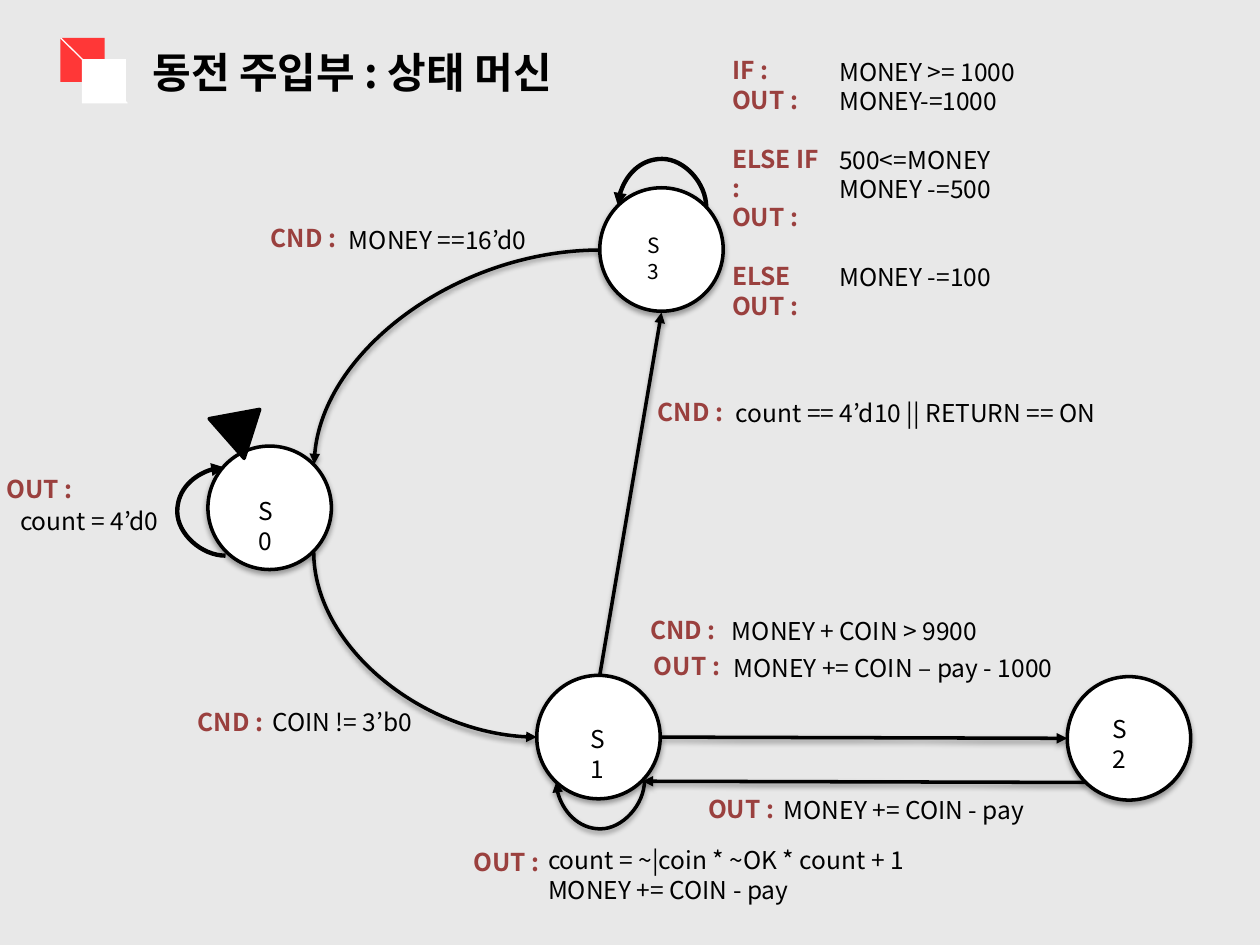
from dataclasses import dataclass

from lxml.etree import SubElement
from pptx import Presentation
from pptx.dml.color import RGBColor
from pptx.enum.shapes import MSO_CONNECTOR, MSO_SHAPE
from pptx.oxml.ns import qn
from pptx.util import Inches, Pt

FONT = "Noto Sans CJK KR"
BLACK, WHITE, RED, LABEL = "000000", "FFFFFF", "FF3737", "9A403E"
NODE_SIZE = 0.98
INSET = 0.05
LINE_FACTOR = 1.2


@dataclass
class State:
    name: str
    left: float
    top: float
    text_left: float
    text_top: float
    text_width: float = 0.3
    size: int = 14


@dataclass
class Note:
    """Lines of text; gaps maps a line index to the empty lines above it."""
    left: float
    top: float
    width: float
    lines: list[str]
    gaps: dict[int, int]
    is_label: bool = False


@dataclass
class Curve:
    left: float
    top: float
    width: float
    height: float
    rotation: int
    preset: str
    flips: str = ""
    arrow: str = "tailEnd"
    weight: float = 2
    shadow: bool = True


def color(value: str) -> RGBColor:
    return RGBColor.from_string(value)


def set_effects(shape, opacity: int = 0, distance: float = 0) -> None:
    """Replace inherited effects by a soft drop shadow, or by nothing."""
    effects = SubElement(shape._element.spPr, qn("a:effectLst"))
    if opacity:
        shadow = SubElement(effects, qn("a:outerShdw"), blurRad=str(Pt(3)),
                            dist=str(Pt(distance)), dir="5400000", rotWithShape="0")
        fill = SubElement(shadow, qn("a:srgbClr"), val=BLACK)
        SubElement(fill, qn("a:alpha"), val=str(opacity * 1000))


def add_block(slide, kind, left: float, top: float, width: float, height: float,
              fill: str, outlined: bool = False):
    shape = slide.shapes.add_shape(kind, Inches(left), Inches(top), Inches(width), Inches(height))
    shape.fill.solid()
    shape.fill.fore_color.rgb = color(fill)
    if outlined:
        shape.line.color.rgb = color(BLACK)
        shape.line.width = Pt(2)
    else:
        shape.line.fill.background()
    return shape


def add_text(slide, left: float, top: float, width: float, lines: list[str], size: int = 14,
             text_color: str = BLACK, bold: bool = False, gaps: dict[int, int] | None = None,
             right_inset: float = 0) -> None:
    gaps = gaps or {}
    pitch = size * LINE_FACTOR
    height = 2 * INSET + (len(lines) + sum(gaps.values())) * pitch / 72
    box = slide.shapes.add_textbox(Inches(left), Inches(top), Inches(width), Inches(height))
    frame = box.text_frame
    frame.word_wrap = True
    frame.margin_left = frame.margin_top = frame.margin_bottom = Inches(INSET)
    frame.margin_right = Inches(right_inset)
    frame.text = "\n".join(lines)
    for index, paragraph in enumerate(frame.paragraphs):
        paragraph.line_spacing = Pt(pitch)
        if index in gaps:
            paragraph.space_before = Pt(gaps[index] * pitch)
        font = paragraph.font
        font.name, font.size, font.bold = FONT, Pt(size), bold
        font.color.rgb = color(text_color)
        SubElement(font._element, qn("a:ea"), typeface=FONT)


def add_line(slide, kind, start: tuple[float, float], end: tuple[float, float],
             weight: float = 2, line_color: str = BLACK, arrow: str = "", shadow: bool = True):
    line = slide.shapes.add_connector(kind, *(Inches(value) for value in start + end))
    line.line.color.rgb = color(line_color)
    line.line.width = Pt(weight)
    if arrow:
        SubElement(line.line._get_or_add_ln(), qn(f"a:{arrow}"), type="triangle")
    set_effects(line, 38 if shadow else 0, 1.6)
    return line


def add_curve(slide, curve: Curve) -> None:
    line = add_line(slide, MSO_CONNECTOR.CURVE, (curve.left, curve.top),
                    (curve.left + curve.width, curve.top + curve.height),
                    curve.weight, arrow=curve.arrow, shadow=curve.shadow)
    properties = line._element.spPr
    frame = properties.find(qn("a:xfrm"))
    frame.set("rot", str(curve.rotation * 60000))
    for flip in curve.flips:
        frame.set(f"flip{flip}", "1")
    geometry = properties.find(qn("a:prstGeom"))
    geometry.set("prst", curve.preset)
    if curve.preset == "curvedConnector3":
        # The bulge of a loop is a multiple of its tiny width
        SubElement(geometry.find(qn("a:avLst")), qn("a:gd"), name="adj1", fmla="val 3900000")


def add_state(slide, state: State) -> None:
    circle = add_block(slide, MSO_SHAPE.OVAL, state.left, state.top,
                       NODE_SIZE, NODE_SIZE, WHITE, outlined=True)
    set_effects(circle, 35, 1.8)
    add_text(slide, state.text_left, state.text_top, state.text_width, [state.name],
             state.size, right_inset=INSET)


ARCS = [
    Curve(2.49, 4.38, 1.77, 1.47, 180, "curvedConnector2", arrow="headEnd"),
    Curve(2.78, 1.7, 1.7, 2.27, 90, "curvedConnector2", "HV", "headEnd"),
]
LOOPS = [
    Curve(4.76, 5.85, 0.01, 0.7, 90, "curvedConnector3"),
    Curve(5.25, 1.29, 0.01, 0.7, 270, "curvedConnector3", "V", weight=2.5, shadow=False),
    Curve(1.78, 3.71, 0.01, 0.7, 180, "curvedConnector3", weight=2.5, shadow=False),
]
STATES = [
    State("S0", 1.65, 3.54, 2, 3.89),
    State("S1", 4.26, 5.36, 4.64, 5.7),
    State("S2", 8.47, 5.37, 8.78, 5.62),
    State("S3", 4.76, 1.49, 5.09, 1.8, 0.27, 12),
]
# Straight transitions: start, end, arrowhead
TRANSITIONS = [
    ((4.76, 5.36), (5.25, 2.48), "tailEnd"),
    ((5.25, 5.85), (8.47, 5.86), "tailEnd"),
    ((5.1, 6.2), (8.61, 6.21), "headEnd"),
]
NOTES = [
    Note(1.52, 5.56, 0.65, ["CND :"], {}, True),
    Note(2.11, 5.56, 1.29, ["COIN != 3’b0"], {}),
    Note(2.1, 1.72, 0.65, ["CND :"], {}, True),
    Note(2.72, 1.74, 1.63, ["MONEY ==16’d0"], {}),
    Note(5.17, 3.1, 0.65, ["CND :"], {}, True),
    Note(5.79, 3.11, 3.19, ["count == 4’d10 || RETURN == ON"], {}),
    Note(3.71, 6.67, 0.63, ["OUT :"], {}, True),
    Note(4.3, 6.66, 3.17, ["count = ~|coin * ~OK * count + 1", "MONEY += COIN - pay"], {}),
    Note(6.61, 0.4, 1.64, ["MONEY >= 1000", "MONEY-=1000", "500<=MONEY", "MONEY -=500",
                           "MONEY -=100"], {2: 1, 4: 2}),
    Note(5.76, 0.39, 0.75, ["IF :", "OUT :", "ELSE IF :", "OUT :", "ELSE", "OUT :"],
         {2: 1, 4: 1}, True),
    Note(0, 3.71, 0.63, ["OUT :"], {}, True),
    Note(0.11, 3.97, 1.26, ["count = 4’d0"], {}),
    Note(5.11, 4.83, 0.65, ["CND :"], {}, True),
    Note(5.76, 4.84, 2.26, ["MONEY + COIN > 9900"], {}),
    Note(5.14, 5.12, 0.63, ["OUT :"], {}, True),
    Note(5.77, 5.13, 2.89, ["MONEY += COIN – pay - 1000"], {}),
    Note(5.57, 6.25, 0.63, ["OUT :"], {}, True),
    Note(6.17, 6.26, 2.22, ["MONEY += COIN - pay"], {}),
]


def main() -> None:
    presentation = Presentation()
    presentation.slide_width, presentation.slide_height = Inches(10), Inches(7.5)
    slide = presentation.slides.add_slide(presentation.slide_layouts[6])
    slide.background.fill.solid()
    slide.background.fill.fore_color.rgb = color("E8E8E8")

    # Title with its two overlapping squares
    for left, top, fill in ((0.48, 0.3, RED), (0.65, 0.47, WHITE)):
        set_effects(add_block(slide, MSO_SHAPE.RECTANGLE, left, top, 0.35, 0.35, fill))
    add_line(slide, MSO_CONNECTOR.STRAIGHT, (0.48, 0.3), (1.01, 0.82), 0.75, WHITE, shadow=False)
    add_text(slide, 1.16, 0.32, 3.69, ["동전 주입부 : 상태 머신"], 24, bold=True)

    # State machine: transitions below the states, loops above them
    for arc in ARCS:
        add_curve(slide, arc)
    for start, end, arrow in TRANSITIONS:
        add_line(slide, MSO_CONNECTOR.STRAIGHT, start, end, arrow=arrow)
    for state in STATES:
        add_state(slide, state)
    for loop in LOOPS:
        add_curve(slide, loop)

    # Marker of the initial state
    marker = add_block(slide, MSO_SHAPE.ISOSCELES_TRIANGLE, 1.72, 3.19, 0.42, 0.35, BLACK, True)
    marker.rotation = 48.6
    set_effects(marker)

    # Conditions and outputs
    for note in NOTES:
        add_text(slide, note.left, note.top, note.width, note.lines, gaps=note.gaps,
                 text_color=LABEL if note.is_label else BLACK, bold=note.is_label)

    presentation.save("out.pptx")


if __name__ == "__main__":
    main()
